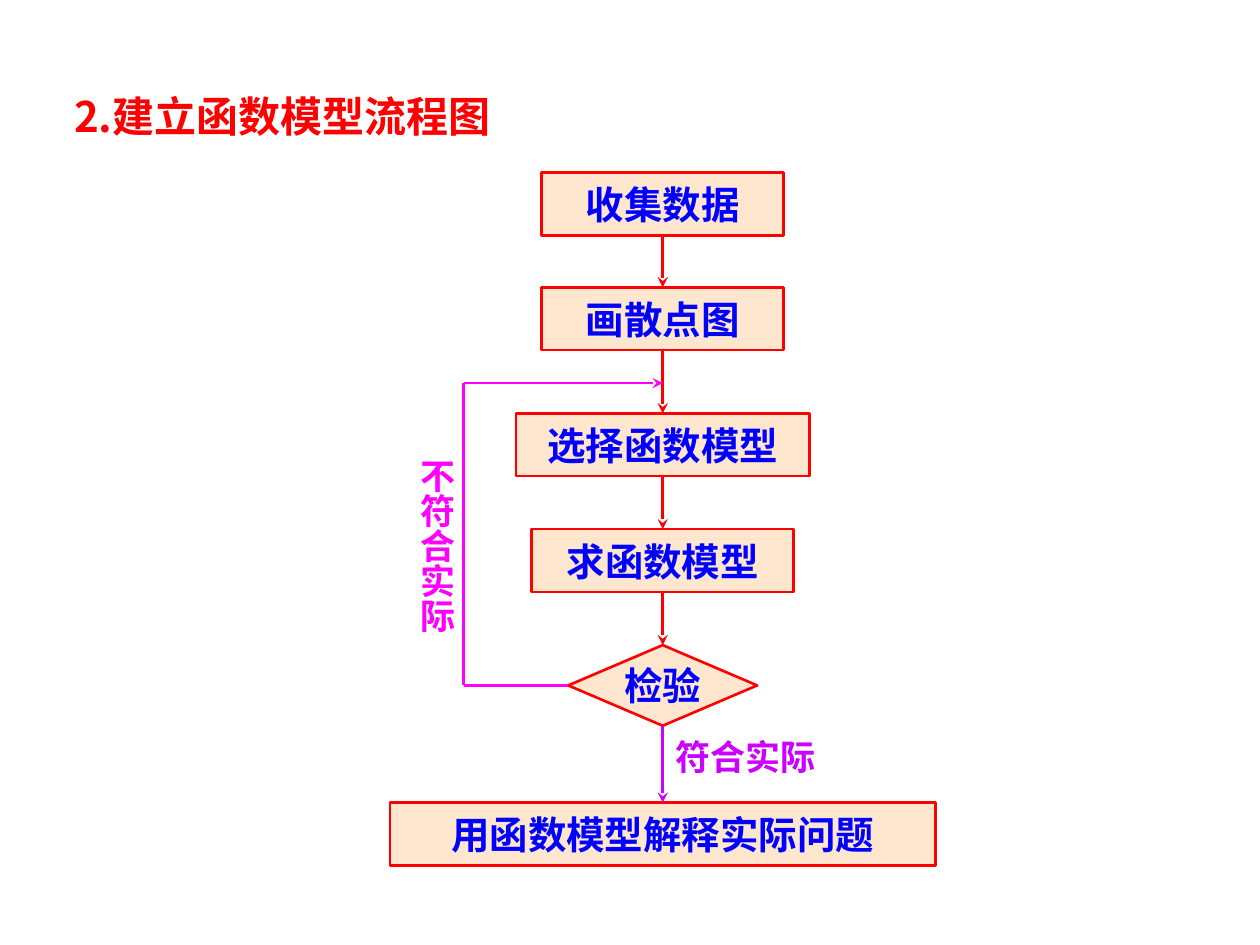
from lxml.etree import SubElement
from pptx import Presentation
from pptx.dml.color import RGBColor
from pptx.enum.shapes import MSO_CONNECTOR, MSO_SHAPE
from pptx.enum.text import MSO_ANCHOR, MSO_AUTO_SIZE, PP_ALIGN
from pptx.oxml.ns import qn
from pptx.util import Inches, Pt

RED = RGBColor(0xFF, 0x00, 0x00)
BLUE = RGBColor(0x00, 0x00, 0xFF)
PEACH = RGBColor(0xFF, 0xCC, 0x99)
PURPLE = RGBColor(0xCC, 0x00, 0xFF)
MAGENTA = RGBColor(0xFF, 0x00, 0xFF)

CENTER = 5.26
LOOP_X, LOOP_TOP, LOOP_BOTTOM = 3.68, 3.04, 5.44

# text, shape, top, width, height
STEPS = [
    ("收集数据", MSO_SHAPE.RECTANGLE, 1.37, 1.92, 0.5),
    ("画散点图", MSO_SHAPE.RECTANGLE, 2.28, 1.92, 0.5),
    ("选择函数模型", MSO_SHAPE.RECTANGLE, 3.28, 2.33, 0.5),
    ("求函数模型", MSO_SHAPE.RECTANGLE, 4.2, 2.08, 0.5),
    ("检验", MSO_SHAPE.FLOWCHART_DECISION, 5.12, 1.5, 0.64),
    ("用函数模型解释实际问题", MSO_SHAPE.RECTANGLE, 6.37, 4.33, 0.5),
]


def set_text(tf, text, size, color, font="Calibri"):
    tf.text = text
    r = tf.paragraphs[0].runs[0]
    r.font.size = Pt(size)
    r.font.bold = True
    r.font.name = font
    r.font.color.rgb = color


def add_step(s, text, kind, top, width, height):
    sp = s.shapes.add_shape(kind, Inches(CENTER - width / 2), Inches(top),
                            Inches(width), Inches(height))
    sp.shadow.inherit = False
    sp.fill.solid()
    sp.fill.fore_color.rgb = PEACH
    color = sp.fill._xPr.find(qn("a:solidFill"))[0]
    SubElement(color, qn("a:alpha"), val="48000")
    sp.line.color.rgb = RED
    sp.line.width = Pt(1.5)
    tf = sp.text_frame
    tf.word_wrap = False
    tf.vertical_anchor = MSO_ANCHOR.MIDDLE
    set_text(tf, text, 22, BLUE)
    tf.paragraphs[0].alignment = PP_ALIGN.CENTER
    return sp


def add_line(s, color, start=(0, 0), end=(0, 0), arrow=False):
    cx = s.shapes.add_connector(MSO_CONNECTOR.STRAIGHT,
                                *map(Inches, start + end))
    cx.line.color.rgb = color
    cx.line.width = Pt(1.5)
    if arrow:
        SubElement(cx.line._get_or_add_ln(), qn("a:tailEnd"), type="stealth")
    SubElement(cx._element.spPr, qn("a:effectLst"))
    return cx


def add_label(s, text, box, size, color, font="Calibri", vertical=False):
    tf = s.shapes.add_textbox(*map(Inches, box)).text_frame
    tf.word_wrap = True
    tf.auto_size = MSO_AUTO_SIZE.SHAPE_TO_FIT_TEXT
    if vertical:
        tf._txBody.bodyPr.set("vert", "eaVert")
        tf.margin_left = tf.margin_right = Inches(0.05)
        tf.margin_top = tf.margin_bottom = Inches(0.1)
    set_text(tf, text, size, color, font)


def add_feedback_loop(s, decision):
    """Lead from the decision back to the arrow above the model choice."""
    corner_top, corner_bottom = (LOOP_X, LOOP_TOP), (LOOP_X, LOOP_BOTTOM)
    add_line(s, MAGENTA, corner_top, (CENTER, LOOP_TOP), arrow=True)
    add_line(s, MAGENTA, corner_top, corner_bottom)
    add_line(s, MAGENTA, corner_bottom, corner_bottom).end_connect(decision, 1)


def main():
    prs = Presentation()
    prs.slide_width, prs.slide_height = Inches(10), Inches(7.5)
    s = prs.slides.add_slide(prs.slide_layouts[6])

    steps = [add_step(s, *step) for step in STEPS]
    decision = steps[-2]
    for upper, lower in zip(steps, steps[1:]):
        cx = add_line(s, PURPLE if upper is decision else RED, arrow=True)
        cx.begin_connect(upper, 2)
        cx.end_connect(lower, 0)
    add_feedback_loop(s, decision)

    add_label(s, "符合实际", (5.26, 5.79, 2.25, 0.44), 20, PURPLE)
    add_label(s, "不符合实际", (3.15, 3.54, 0.53, 1.8), 20, MAGENTA,
              vertical=True)
    add_label(s, "2.建立函数模型流程图", (0.49, 0.67, 4.48, 0.5), 24, RED,
              font="Noto Sans CJK SC")
    prs.save("out.pptx")


if __name__ == "__main__":
    main()
